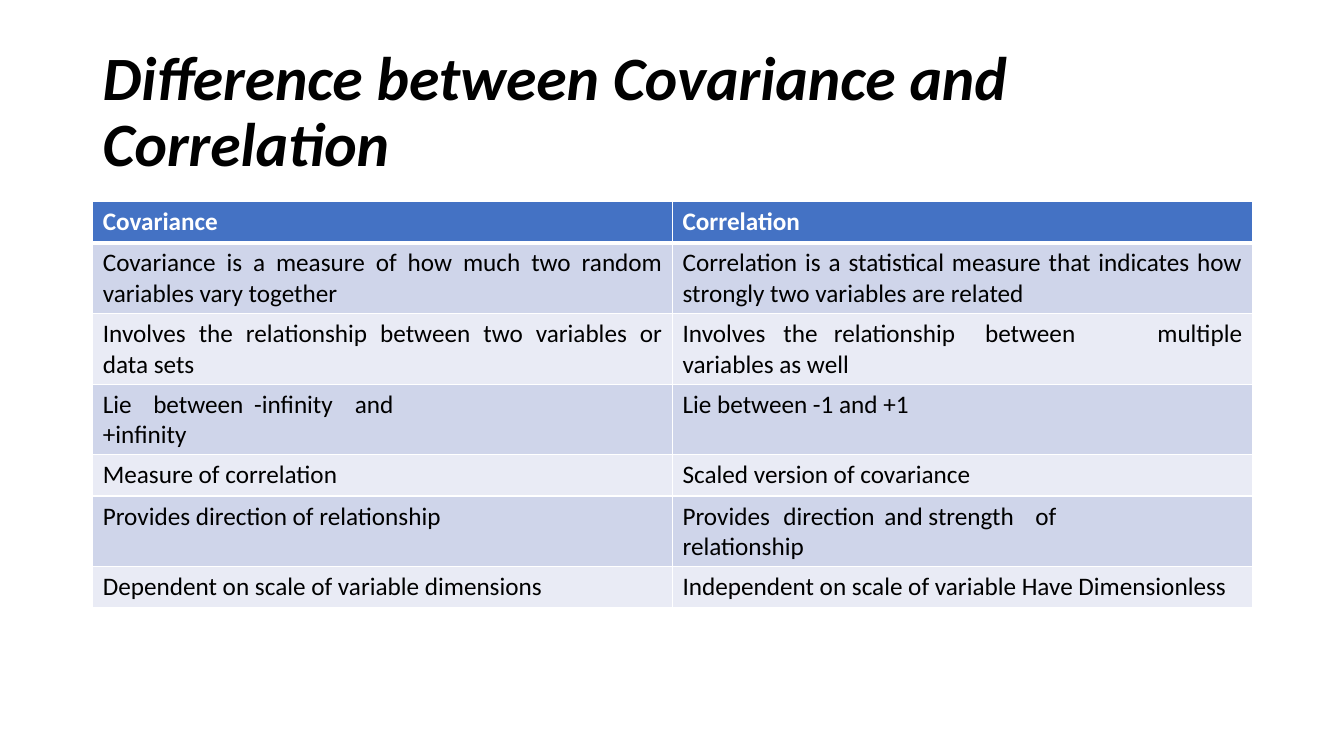
from lxml.etree import SubElement
from pptx import Presentation
from pptx.dml.color import RGBColor
from pptx.enum.text import MSO_ANCHOR, PP_ALIGN
from pptx.oxml.ns import qn
from pptx.util import Inches, Pt

# Content: a line break in a cell starts a new paragraph
TITLE = "Difference between Covariance and Correlation"
ROWS = [
    ("Covariance", "Correlation"),
    ("Covariance is a measure of how much two random variables vary together",
     "Correlation is a statistical measure that indicates how strongly two variables are related"),
    ("Involves the relationship between two variables or data sets",
     "Involves\tthe\trelationship\tbetween multiple variables as well"),
    ("Lie\tbetween\t-infinity\tand\n+infinity", "Lie between -1 and +1"),
    ("Measure of correlation", "Scaled version of covariance"),
    ("Provides direction of relationship",
     "Provides\tdirection\tand strength\tof\nrelationship"),
    ("Dependent on scale of variable dimensions",
     "Independent on scale of variable Have Dimensionless"),
]
COLORS = {"header": "4472C4", "odd": "CFD5EA", "even": "E9EBF5",
          "text": "000000", "white": "FFFFFF"}
FONT = "Calibri"
LEFT, WIDTH = 0.92, 11.5
ROW_HEIGHT = 0.41


def add_run(paragraph, text, size, color, bold=False, italic=False):
    run = paragraph.add_run()
    run.text = text
    run.font.name = FONT
    run.font.size = Pt(size)
    run.font.bold = bold
    run.font.italic = italic
    run.font.color.rgb = RGBColor.from_string(COLORS[color])


def set_borders(cell, top, bottom):
    """Draw white borders; they must precede the fill in the cell properties."""
    properties = cell._tc.get_or_add_tcPr()
    for side, width in (("L", 1), ("R", 1), ("T", top), ("B", bottom)):
        line = SubElement(properties, qn(f"a:ln{side}"), w=str(Pt(width)))
        fill = SubElement(line, qn("a:solidFill"))
        SubElement(fill, qn("a:srgbClr"), val=COLORS["white"])


presentation = Presentation()
presentation.slide_width = Inches(13.33)
presentation.slide_height = Inches(7.5)
slide = presentation.slides.add_slide(presentation.slide_layouts[6])

# Title
title_box = slide.shapes.add_textbox(Inches(LEFT), Inches(0.4), Inches(WIDTH), Inches(1.45))
title_frame = title_box.text_frame
title_frame.word_wrap = True
title_frame.vertical_anchor = MSO_ANCHOR.MIDDLE
title_paragraph = title_frame.paragraphs[0]
title_paragraph.line_spacing = 0.9
add_run(title_paragraph, TITLE, 44, "text", bold=True, italic=True)

# Comparison table
table = slide.shapes.add_table(len(ROWS), len(ROWS[0]), Inches(LEFT), Inches(2),
                               Inches(WIDTH), Inches(ROW_HEIGHT * len(ROWS))).table
for row_index, row in enumerate(ROWS):
    table.rows[row_index].height = Inches(ROW_HEIGHT)
    is_header = row_index == 0
    band = "header" if is_header else "odd" if row_index % 2 else "even"
    for column_index, text in enumerate(row):
        cell = table.cell(row_index, column_index)
        set_borders(cell, top=3 if row_index == 1 else 1, bottom=3 if is_header else 1)
        cell.fill.solid()
        cell.fill.fore_color.rgb = RGBColor.from_string(COLORS[band])
        for line_index, line_text in enumerate(text.split("\n")):
            frame = cell.text_frame
            paragraph = frame.add_paragraph() if line_index else frame.paragraphs[0]
            paragraph.alignment = PP_ALIGN.JUSTIFY
            add_run(paragraph, line_text, 18, "white" if is_header else "text", bold=is_header)

presentation.save("out.pptx")
